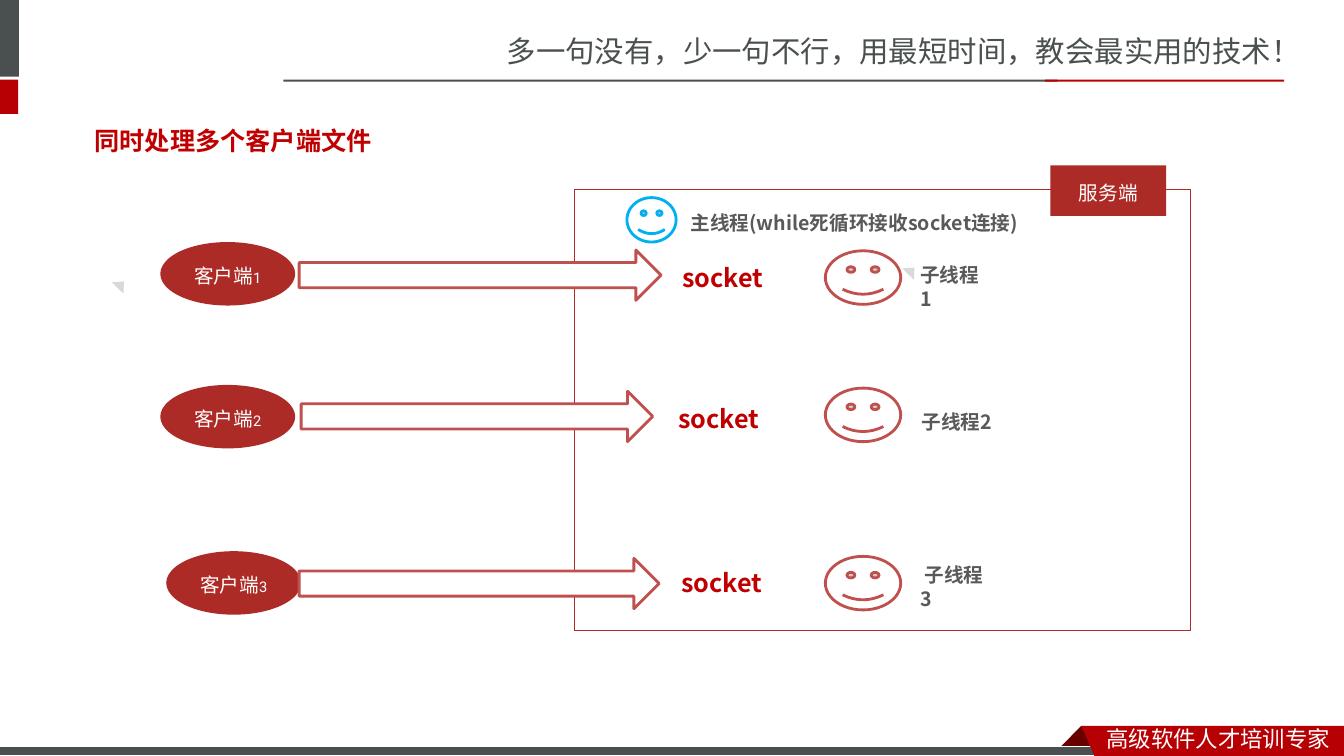
from lxml import etree
from pptx import Presentation
from pptx.dml.color import RGBColor
from pptx.enum.shapes import MSO_SHAPE
from pptx.enum.text import MSO_ANCHOR, PP_ALIGN
from pptx.oxml.ns import qn
from pptx.util import Cm, Pt

RECTANGLE = MSO_SHAPE.RECTANGLE
TRIANGLE = MSO_SHAPE.ISOSCELES_TRIANGLE
ELLIPSE = MSO_SHAPE.OVAL
ARROW = MSO_SHAPE.RIGHT_ARROW
FACE = MSO_SHAPE.SMILEY_FACE
TOP, MIDDLE = MSO_ANCHOR.TOP, MSO_ANCHOR.MIDDLE
LEFT, CENTER = PP_ALIGN.LEFT, PP_ALIGN.CENTER

COLORS = {
    "slate": "49504F", "red": "B60004", "fold": "680000", "brick": "AD2B26",
    "rose": "C0504D", "title": "C00000", "label": "595959", "sky": "00B0F0",
    "mark": "D9D9D9", "white": "FFFFFF",
}
SANS_SC, SANS_JP, ROBOTO = "Noto Sans CJK SC", "Noto Sans CJK JP", "Roboto"

# client ellipse, arrow (left, top, width), socket label,
# thread face top, thread label (left, top, width)
ROWS = [
    ((4.04, 6.1), (7.54, 6.3, 9.12), (16.94, 6.48),
     6.32, (22.94, 6.5, 2.26), "子线程1"),
    ((4.04, 9.7), (7.59, 9.86, 8.86), (16.84, 10.03),
     9.78, (22.86, 10.21, 3.02), " 子线程2"),
    ((4.19, 13.89), (7.54, 14.07, 9.07), (16.92, 14.17),
     14.02, (22.94, 14.07, 2.3), " 子线程3"),
]


def color(name):
    return RGBColor.from_string(COLORS[name])


def style_span(span, size, tint, face, bold=False):
    font = span.font
    font.size, font.bold = Pt(size), bold
    font.color.rgb = color(tint)
    font.name = face
    east_asian = etree.Element(qn("a:ea"))
    east_asian.set("typeface", SANS_SC if face == ROBOTO else face)
    font._element.find(qn("a:latin")).addnext(east_asian)


def paint(shape, fill=None, line=None, weight=0.75):
    shape.shadow.inherit = False
    if fill:
        shape.fill.solid()
        shape.fill.fore_color.rgb = color(fill)
    else:
        shape.fill.background()
    if line:
        shape.line.color.rgb = color(line)
        shape.line.width = Pt(weight)
    else:
        shape.line.fill.background()


def add_shape(page, kind, place, fill=None, line=None, weight=0.75):
    shape = page.shapes.add_shape(kind, *map(Cm, place))
    paint(shape, fill, line, weight)
    return shape


def add_outline(page, points, fill):
    corners = [(Cm(x), Cm(y)) for x, y in points]
    builder = page.shapes.build_freeform(*corners[0])
    builder.add_line_segments(corners[1:], close=True)
    paint(builder.convert_to_shape(), fill)


def add_label(page, place, text, size, tint, face, bold=False):
    box = page.shapes.add_textbox(*map(Cm, place))
    frame = box.text_frame
    frame.word_wrap = True
    frame.text = text
    style_span(frame.paragraphs[0].runs[0], size, tint, face, bold)


def add_caption(shape, *spans):
    """Centre white text, given as (text, size) pairs, in a shape."""
    frame = shape.text_frame
    frame.margin_left = frame.margin_right = frame.margin_bottom = 0
    frame.margin_top = Cm(0.1)
    frame.vertical_anchor = MIDDLE
    para = frame.paragraphs[0]
    para.alignment = CENTER
    for text, size in spans:
        span = para.add_run()
        span.text = text
        style_span(span, size, "white", ROBOTO)


def add_title(page, text):
    title = page.shapes.title
    title.left, title.top, title.width, title.height = map(
        Cm, (2.13, 3.02, 16.92, 1.02))
    frame = title.text_frame
    frame.text = text
    frame.vertical_anchor = TOP
    para = frame.paragraphs[0]
    para.alignment = LEFT
    style_span(para.runs[0], 18, "title", SANS_JP, True)


def add_banner(page):
    add_label(page, (12.52, 0.71, 21.35, 1.19),
              "多一句没有，少一句不行，用最短时间，教会最实用的技术！",
              21, "slate", SANS_SC)
    for place, fill in [((0, 0, 0.48, 1.93), "slate"),
                        ((0, 2.01, 0.46, 0.86), "red"),
                        ((7.14, 2.01, 19.51, 0.05), "slate"),
                        ((26.34, 2.01, 6.02, 0.05), "red")]:
        add_shape(page, RECTANGLE, place, fill)


def add_footer(page):
    add_outline(page, [(27.25, 18.29), (27.81, 18.85), (27.79, 18.87),
                       (26.72, 18.87), (26.7, 18.85)], "fold")
    add_shape(page, RECTANGLE, (0, 18.82, 27.91, 0.23), "slate", "white")
    add_outline(page, [(27.25, 18.29), (33.87, 18.29),
                       (33.87, 19.05), (27.58, 19.05)], "red")
    add_label(page, (27.64, 18.16, 6.22, 0.89), "高级软件人才培训专家",
              16, "white", SANS_SC)


def add_server(page):
    for left, top in [(2.84, 7.06), (22.76, 6.71)]:
        mark = add_shape(page, TRIANGLE, (left, top, 0.41, 0.23), "mark")
        mark.rotation = 44.2
    add_shape(page, RECTANGLE, (14.48, 4.78, 15.52, 11.1), line="brick")
    tag = add_shape(page, RECTANGLE, (26.47, 4.17, 2.92, 1.27), "brick")
    add_caption(tag, ("服务端", 14))
    add_shape(page, FACE, (15.8, 4.98, 1.24, 1.12), "white", "sky", 2)
    add_label(page, (17.15, 5.18, 8.84, 0.86),
              "主线程(while死循环接收socket连接)", 14, "label", SANS_JP, True)


def add_client_row(page, number, client, arrow, socket, face_top,
                   thread, thread_text):
    ellipse = add_shape(page, ELLIPSE, (*client, 3.4, 1.6), "brick")
    add_caption(ellipse, ("客户端", 14), (str(number), 10.5))
    add_shape(page, ARROW, (*arrow, 1.27), "white", "rose", 2)
    add_label(page, (*socket, 2.8, 1.02), "socket", 18, "title", SANS_JP, True)
    add_shape(page, FACE, (20.8, face_top, 1.9, 1.35), "white", "rose", 2)
    add_label(page, (*thread, 0.86), thread_text, 14, "label", SANS_JP, True)


def main():
    deck = Presentation()
    deck.slide_width, deck.slide_height = Cm(33.87), Cm(19.05)
    page = deck.slides.add_slide(deck.slide_layouts[5])
    add_banner(page)
    add_footer(page)
    add_title(page, "同时处理多个客户端文件")
    add_server(page)
    for number, row in enumerate(ROWS, start=1):
        add_client_row(page, number, *row)
    deck.save("out.pptx")


if __name__ == "__main__":
    main()
